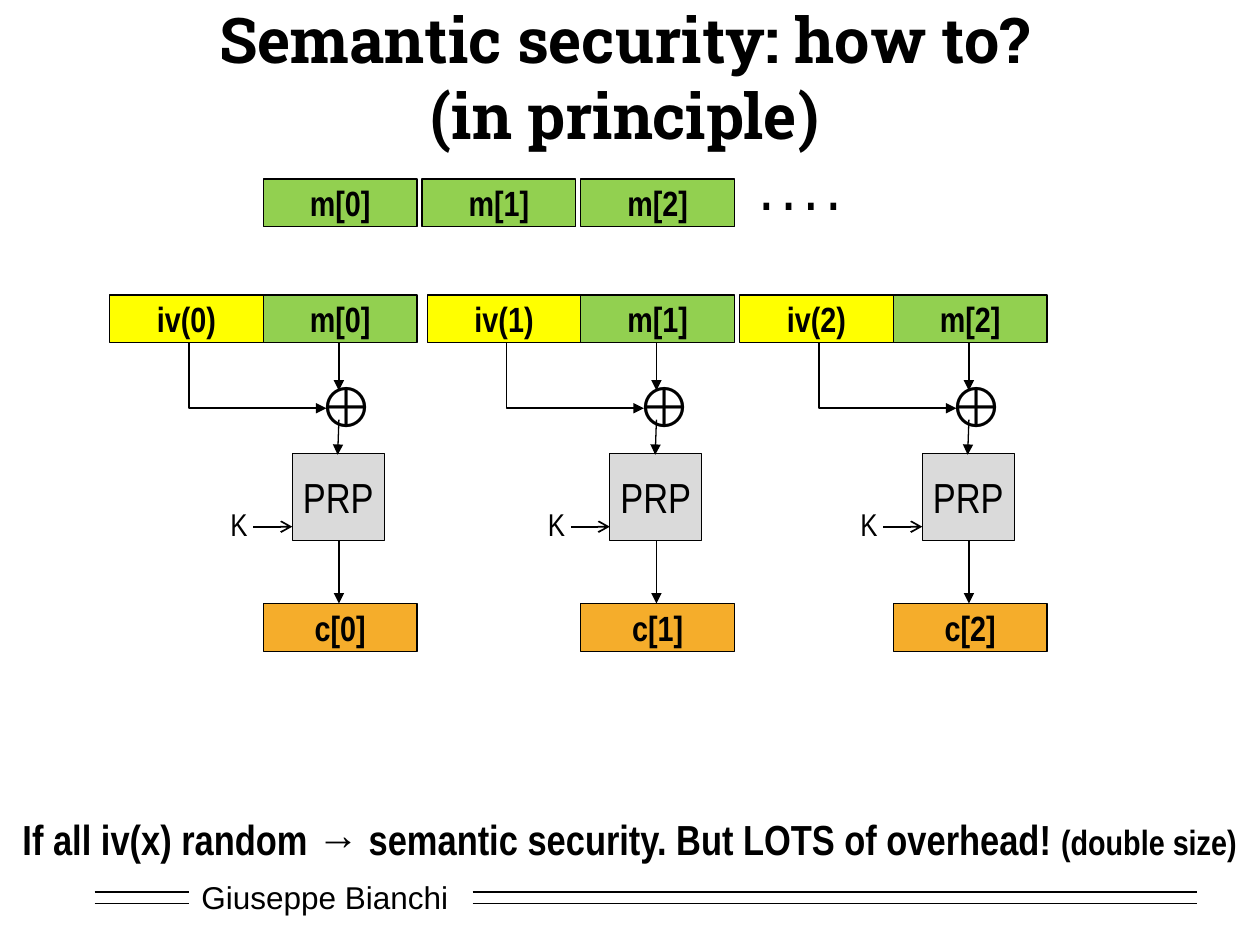
from dataclasses import dataclass
from lxml import etree
from pptx import Presentation
from pptx.dml.color import RGBColor
from pptx.enum.shapes import MSO_CONNECTOR, MSO_SHAPE
from pptx.enum.text import MSO_ANCHOR, MSO_AUTO_SIZE, PP_ALIGN
from pptx.oxml.ns import qn
from pptx.slide import Slide
from pptx.util import Inches, Pt

STRAIGHT = MSO_CONNECTOR.STRAIGHT
RECTANGLE = MSO_SHAPE.RECTANGLE
MIDDLE = MSO_ANCHOR.MIDDLE
FIXED = MSO_AUTO_SIZE.NONE
CENTER = PP_ALIGN.CENTER
LEFT = PP_ALIGN.LEFT

COLORS = {
    "ink": "000000",
    "message": "92D050",
    "iv": "FFFF00",
    "cipher": "F5AD2B",
    "prp": "DADADA",
}
BLOCK_W, BLOCK_H = 1.22, 0.38


@dataclass
class Diagram:
    """Draws styled elements on the current slide."""

    slide: Slide
    font: str = "Arial Narrow"

    def color(self, name):
        return RGBColor.from_string(COLORS[name])

    def style(self, runs, size, bold=False, font=None):
        for run in runs:
            run.font.name = font or self.font
            run.font.size = Pt(size)
            run.font.bold = bold
            run.font.color.rgb = self.color("ink")

    def title(self, text, left, top, width, height):
        heading = self.slide.shapes.title
        heading.left, heading.top = Inches(left), Inches(top)
        heading.width, heading.height = Inches(width), Inches(height)
        frame = heading.text_frame
        frame.text = text
        frame.auto_size = FIXED
        frame.vertical_anchor = MIDDLE
        frame.paragraphs[0].alignment = CENTER
        self.style(frame.paragraphs[0].runs, 36, True, "Roboto Slab")

    def outline(self, shape, weight):
        shape.shadow.inherit = False
        shape.line.color.rgb = self.color("ink")
        shape.line.width = Pt(weight)

    def box(self, text, fill, left, top, width=BLOCK_W, height=BLOCK_H, size=20, bold=True):
        block = self.slide.shapes.add_shape(
            RECTANGLE, Inches(left), Inches(top), Inches(width), Inches(height))
        block.fill.solid()
        block.fill.fore_color.rgb = self.color(fill)
        self.outline(block, 0.75)
        frame = block.text_frame
        frame.text = text
        frame.word_wrap = False
        frame.vertical_anchor = MIDDLE
        frame.paragraphs[0].alignment = CENTER
        self.style(frame.paragraphs[0].runs, size, bold)

    def label(self, text, left, top, width, height, size, bold=False, font=None, wrap=True):
        frame = self.slide.shapes.add_textbox(
            Inches(left), Inches(top), Inches(width), Inches(height)).text_frame
        frame.text = text
        frame.word_wrap = wrap
        frame.paragraphs[0].alignment = LEFT
        self.style(frame.paragraphs[0].runs, size, bold, font)
        return frame

    def arrowhead(self, shape, kind):
        line = shape.line._get_or_add_ln()
        etree.SubElement(line, qn("a:tailEnd"), type=kind)

    def line(self, x1, y1, x2, y2, weight=0.75, head=None):
        rule = self.slide.shapes.add_connector(
            STRAIGHT, Inches(x1), Inches(y1), Inches(x2), Inches(y2))
        rule.line.color.rgb = self.color("ink")
        rule.line.width = Pt(weight)
        if head:
            self.arrowhead(rule, head)
        etree.SubElement(rule._element.spPr, qn("a:effectLst"))

    def elbow(self, x1, y1, x2, y2):
        builder = self.slide.shapes.build_freeform(Inches(x1), Inches(y1))
        builder.add_line_segments(
            [(Inches(x1), Inches(y2)), (Inches(x2), Inches(y2))], close=False)
        bend = builder.convert_to_shape()
        bend.fill.background()
        self.outline(bend, 1)
        self.arrowhead(bend, "triangle")

    def cipher_column(self, index, left):
        message_left = left + BLOCK_W
        axis = left + 1.82
        self.box(f"iv({index})", "iv", left, 2.34)
        self.box(f"m[{index}]", "message", message_left, 2.34)
        self.line(axis, 2.72, axis, 3.1, head="triangle")
        self.label("⊕", left + 1.56, 2.9, 0.55, 0.64, 32)
        self.elbow(left + 0.63, 2.72, left + 1.72, 3.24)
        self.box("PRP", "prp", left + 1.45, 3.6, 0.73, 0.69, 24, False)
        self.line(axis, 3.33, axis - 0.01, 3.61, head="triangle")
        self.label("K", left + 0.86, 3.96, 0.25, 0.4, 18)
        self.line(left + 1.14, 4.18, left + 1.45, 4.18, 1, "arrow")
        self.line(axis, 4.29, axis, 4.79, head="triangle")
        self.box(f"c[{index}]", "cipher", message_left, 4.79)


deck = Presentation()
deck.slide_width, deck.slide_height = Inches(10), Inches(7.5)
diagram = Diagram(deck.slides.add_slide(deck.slide_layouts[5]))

diagram.label("Giuseppe Bianchi", 1.5, 6.92, 2.17, 0.4, 18, font="Arial")
for rule_y in (7.08, 7.17):
    for start, end in ((0.75, 1.5), (3.75, 9.5)):
        diagram.line(start, rule_y, end, rule_y, 1)

diagram.title("Semantic security: how to?\v(in principle)", 0.75, 0.25, 8.42, 0.71)

for index, column_left in enumerate((0.87, 3.39, 5.87)):
    diagram.box(f"m[{index}]", "message", 2.09 + 1.26 * index, 1.42)
    diagram.cipher_column(index, column_left)
diagram.label(". . . .", 5.94, 1.23, 0.83, 0.57, 28, True, wrap=False)

conclusion = diagram.label(
    "If all iv(x) random → semantic security. But LOTS of overhead! ",
    0.08, 6.41, 9.92, 0.5, 24, True).paragraphs[0]
aside = conclusion.add_run()
aside.text = "(double size)"
diagram.style([aside], 20, True)

deck.save("out.pptx")
